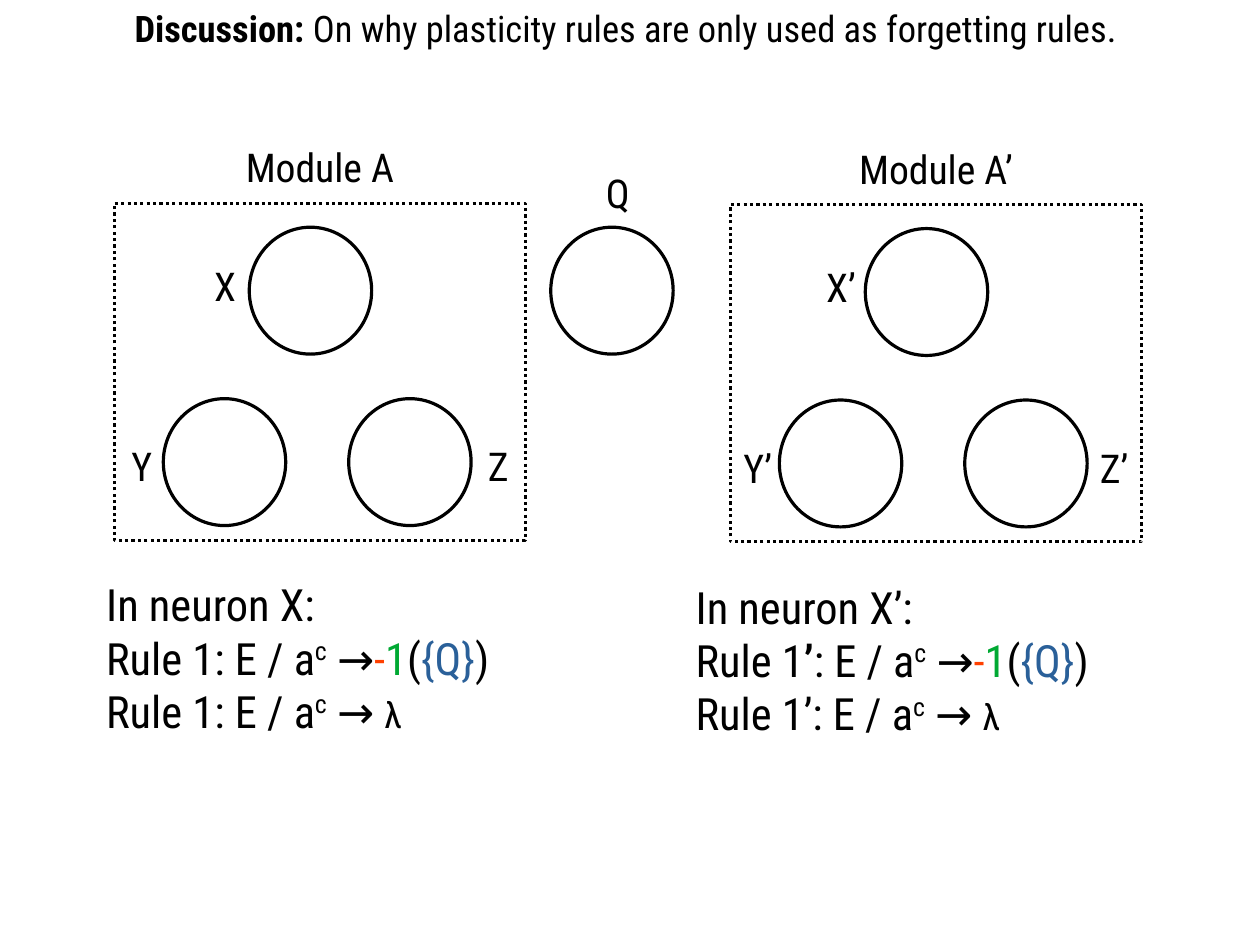
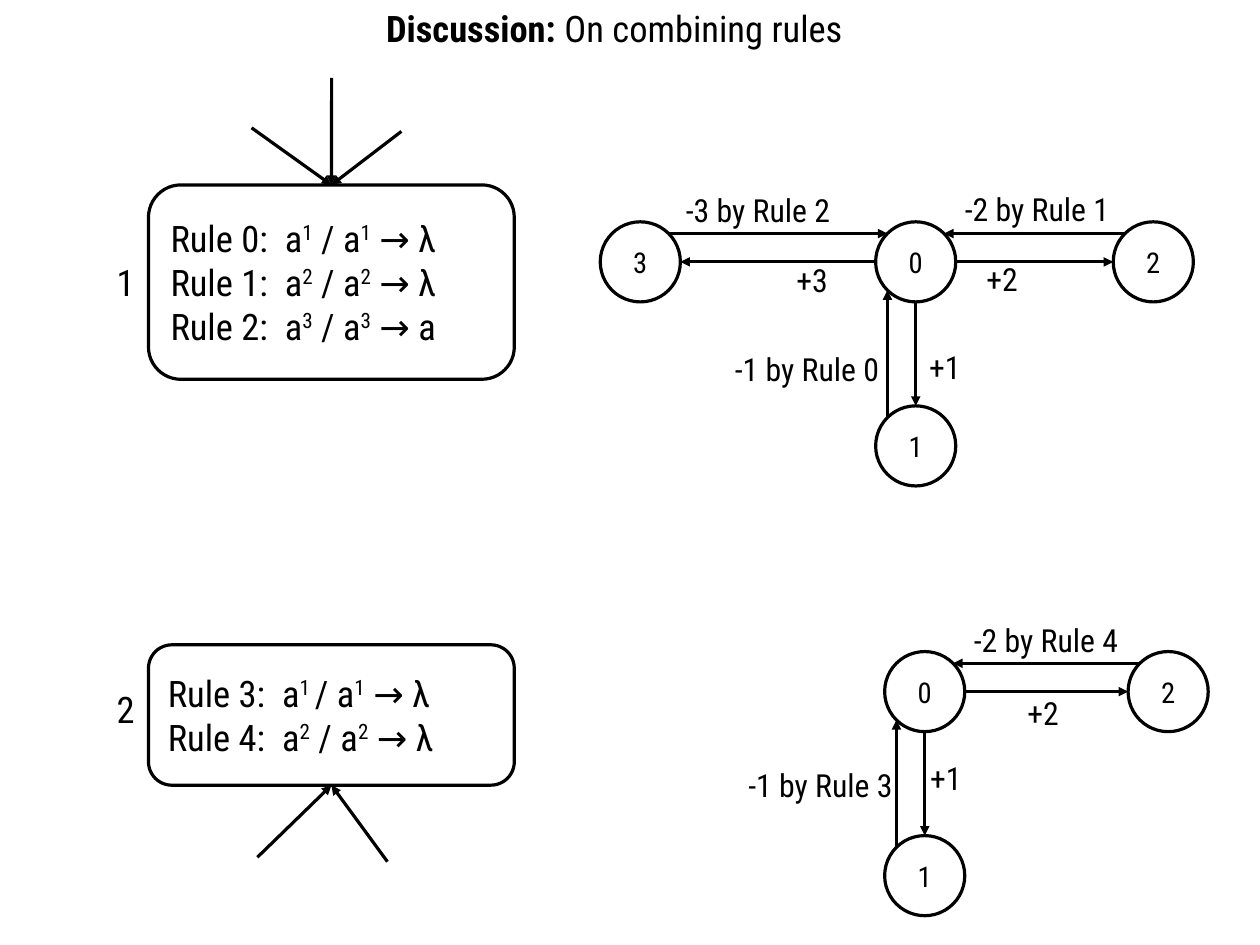
"""Build two discussion slides on plasticity rules in neuron modules."""
from dataclasses import dataclass
from math import sqrt
from typing import NamedTuple

from lxml import etree
from pptx import Presentation
from pptx.dml.color import RGBColor
from pptx.enum.dml import MSO_LINE
from pptx.enum.shapes import MSO_CONNECTOR, MSO_SHAPE
from pptx.enum.text import MSO_ANCHOR, MSO_AUTO_SIZE, PP_ALIGN
from pptx.oxml.ns import qn
from pptx.util import Cm, Pt

OVAL, RECT, ROUND = MSO_SHAPE.OVAL, MSO_SHAPE.RECTANGLE, MSO_SHAPE.ROUNDED_RECTANGLE
STRAIGHT = MSO_CONNECTOR.STRAIGHT
DOTS = MSO_LINE.ROUND_DOT
LEFT, CENTER = PP_ALIGN.LEFT, PP_ALIGN.CENTER
TOP, MIDDLE = MSO_ANCHOR.TOP, MSO_ANCHOR.MIDDLE
FIXED = MSO_AUTO_SIZE.NONE

HUES = {"ink": "000000", "minus": "FF4000", "one": "00A933", "set": "2A6099"}
FONT = {"name": "Roboto Condensed", "bold": False}
PLAIN = {"word_wrap": True, "auto_size": FIXED, "vertical_anchor": TOP,
         "margin_left": Cm(0.25), "margin_right": Cm(0.25),
         "margin_top": Cm(0.13), "margin_bottom": Cm(0.13)}
INNER = PLAIN | {"vertical_anchor": MIDDLE,
                 "margin_left": Cm(0.28), "margin_right": Cm(0.28),
                 "margin_top": Cm(0.15), "margin_bottom": Cm(0.15)}
TAB = Cm(2.91)
CELL = (2.72, 2.82)
FRAME = (9.14, 7.49)
RADIUS = 0.89
SIDE = RADIUS / sqrt(2)


class Box(NamedTuple):
    x: float
    y: float
    w: float
    h: float


class Bit(NamedTuple):
    text: str
    hue: str = "ink"
    sup: bool = False
    fmt: dict = {}


class Cell(NamedTuple):
    name: str
    x: float
    y: float
    mid: float
    top: float


@dataclass
class Module:
    x: float
    y: float
    mark: str
    note: Box


@dataclass
class Spoke:
    count: int
    unit: tuple
    dist: float
    rule: int
    plus: tuple
    minus: tuple


@dataclass
class Graph:
    x: float
    y: float
    spokes: list


@dataclass
class Neuron:
    name: str
    box: Box
    tag: float
    lines: list
    edge: float
    feeds: list


CELLS = [Cell("X", 3, 0.53, 2.46, 1.17),
         Cell("Y", 1.09, 4.34, 0.61, 5.18),
         Cell("Z", 5.21, 4.34, 8.53, 5.18)]
MODULES = [Module(2.54, 4.52, "", Box(2.11, 12.7, 10, 4.14)),
           Module(16.23, 4.55, "’", Box(15.21, 12.75, 10.85, 4.14))]
DOWN, EAST, WEST = (0, 1), (1, 0), (-1, 0)
GRAPHS = [
    Graph(20.35, 5.82, [
        Spoke(1, DOWN, 4.09, 0, (0.05, 1.78), (-4.27, 1.83)),
        Spoke(2, EAST, 5.28, 1, (1.32, -0.18), (0.84, -1.73)),
        Spoke(3, WEST, 6.12, 2, (-2.9, -0.15), (-5.36, -1.7))]),
    Graph(20.55, 15.37, [
        Spoke(1, DOWN, 4.09, 3, (-0.13, 1.37), (-4.17, 1.52)),
        Spoke(2, EAST, 5.41, 4, (2.03, -0.08), (0.84, -1.7))]),
]


def power(head: str, sup: str) -> list:
    return [Bit(head), Bit(sup, sup=True)]


def rule(num: int, sup: str, end: str, gap: str = "") -> list:
    left = [Bit(f"Rule {num}:\ta"), Bit(sup + gap, sup=True)]
    return left + power("/ a" if gap else " / a", sup) + [Bit(f" → {end}")]


NEURONS = [
    Neuron("1", Box(3.3, 4.11, 8.13, 4.32), 5.64,
           [rule(0, "1", "λ"), rule(1, "2", "λ"), rule(2, "3", "a")],
           0, [(7.37, 1.73), (5.59, 2.84), (8.92, 2.92)]),
    Neuron("2", Box(3.3, 14.33, 8.13, 3.12), 15.14,
           [rule(3, "1", "λ", " "), rule(4, "2", "λ")],
           1, [(5.72, 19.05), (8.61, 19.15)]),
]


def write(frame, lines: list, size: float, align=LEFT, style: dict = PLAIN) -> None:
    for key, val in style.items():
        setattr(frame, key, val)
    for num, bits in enumerate(lines):
        par = frame.add_paragraph() if num else frame.paragraphs[0]
        par.alignment = align
        par.space_before = Pt(0)
        props = par._p.get_or_add_pPr()
        props.set("marL", "0")
        props.set("indent", "0")
        etree.SubElement(props, qn("a:buNone"))
        tabs = etree.SubElement(props, qn("a:tabLst"))
        etree.SubElement(tabs, qn("a:tab"), pos=str(TAB), algn="l")
        for bit in bits:
            run = par.add_run()
            run.text = bit.text
            for key, val in (FONT | {"size": Pt(size)} | bit.fmt).items():
                setattr(run.font, key, val)
            run.font.color.rgb = RGBColor.from_string(HUES[bit.hue])
            if bit.sup:
                run._r.get_or_add_rPr().set("baseline", "33000")


def place(shape, box: Box) -> None:
    for key, val in zip(("left", "top", "width", "height"), box):
        setattr(shape, key, Cm(val))


def ink(line) -> None:
    line.color.rgb = RGBColor.from_string(HUES["ink"])
    line.width = Pt(2)


def draw(slide, kind, box: Box):
    shape = slide.shapes.add_shape(kind, *map(Cm, box))
    shape.shadow.inherit = False
    shape.fill.background()
    ink(shape.line)
    return shape


def label(slide, text: str, box: Box, size: float, align=LEFT) -> None:
    frame = slide.shapes.add_textbox(*map(Cm, box)).text_frame
    style = PLAIN | {"word_wrap": align == LEFT}
    write(frame, [[Bit(text)]], size, align, style)


def center(slide, text: str, mid: float, top: float, wide: float) -> None:
    label(slide, text, Box(mid - wide / 2, top, wide, 1.42), 25, CENTER)


def arrow(slide, start: tuple, end: tuple) -> None:
    link = slide.shapes.add_connector(STRAIGHT, *map(Cm, start + end))
    ink(link.line)
    etree.SubElement(link.line._get_or_add_ln(), qn("a:tailEnd"), type="triangle")
    etree.SubElement(link._element.spPr, qn("a:effectLst"))


def head(slide, text: str, box: Box) -> None:
    place(slide.shapes.title, box)
    bits = [Bit("Discussion:", fmt={"bold": True}), Bit(f" {text}")]
    write(slide.shapes.title.text_frame, [bits], 23)


def module(slide, mod: Module, body) -> None:
    mark = mod.mark
    draw(slide, RECT, Box(mod.x, mod.y, *FRAME)).line.dash_style = DOTS
    center(slide, f"Module A{mark}", mod.x + FRAME[0] / 2, mod.y - 1.47, 3.8)
    for cell in CELLS:
        draw(slide, OVAL, Box(mod.x + cell.x, mod.y + cell.y, *CELL))
        center(slide, cell.name + mark, mod.x + cell.mid, mod.y + cell.top,
               1.2 if mark else 1)
    prime = [Bit(mark, fmt={"bold": True})] if mark else []
    lines = [
        [Bit(f"In neuron X{mark}:")],
        [Bit("Rule 1"), *prime, *power(": E / a", "c"), Bit(" →"),
         Bit("-", "minus"), Bit("1", "one"), Bit("("), Bit("{Q}", "set"), Bit(")")],
        [*power(f"Rule 1{mark}: E / a", "c"), Bit(" → "),
         Bit("λ", fmt={"size": Pt(23)})],
    ]
    place(body, mod.note)
    write(body.text_frame, lines, 28)


def node(slide, count: int, x: float, y: float) -> None:
    box = Box(x - RADIUS, y - RADIUS, 2 * RADIUS, 2 * RADIUS)
    frame = draw(slide, OVAL, box).text_frame
    write(frame, [[Bit(str(count))]], 18, CENTER, INNER | {"word_wrap": False})


def graph(slide, net: Graph) -> None:
    node(slide, 0, net.x, net.y)
    for arm in net.spokes:
        ux, uy = arm.unit

        def spot(far: float, side: float = 0) -> tuple:
            return (net.x + ux * far - side * abs(uy),
                    net.y + uy * far - side * abs(ux))

        node(slide, arm.count, *spot(arm.dist))
        arrow(slide, spot(RADIUS), spot(arm.dist - RADIUS))
        arrow(slide, spot(arm.dist - SIDE, SIDE), spot(SIDE, SIDE))
        for text, (dx, dy), wide in (
                (f"+{arm.count}", arm.plus, 1.35),
                (f"-{arm.count} by Rule {arm.rule}", arm.minus, 3.81)):
            label(slide, text, Box(net.x + dx, net.y + dy, wide, 1.19), 20)


def neuron(slide, cell: Neuron) -> None:
    box = cell.box
    write(draw(slide, ROUND, box).text_frame, cell.lines, 23, style=INNER)
    label(slide, cell.name, Box(2.34, cell.tag, 1.09, 1.32), 23)
    tip = (box.x + box.w / 2, box.y + box.h * cell.edge)
    for feed in cell.feeds:
        arrow(slide, feed, tip)


def main() -> None:
    deck = Presentation()
    deck.slide_width, deck.slide_height = Cm(28), Cm(21)

    slide = deck.slides.add_slide(deck.slide_layouts[3])
    head(slide, "On why plasticity rules are only used as forgetting rules.",
         Box(2.74, 0, 22.38, 1.32))
    for num, mod in enumerate(MODULES, 1):
        module(slide, mod, slide.placeholders[num])
    draw(slide, OVAL, Box(12.24, 5.05, *CELL))
    center(slide, "Q", 13.73, 3.63, 1.04)

    slide = deck.slides.add_slide(deck.slide_layouts[5])
    head(slide, "On combining rules", Box(8.33, 0, 11.48, 2.39))
    for cell in NEURONS:
        neuron(slide, cell)
    for net in GRAPHS:
        graph(slide, net)

    deck.save("out.pptx")


if __name__ == "__main__":
    main()
